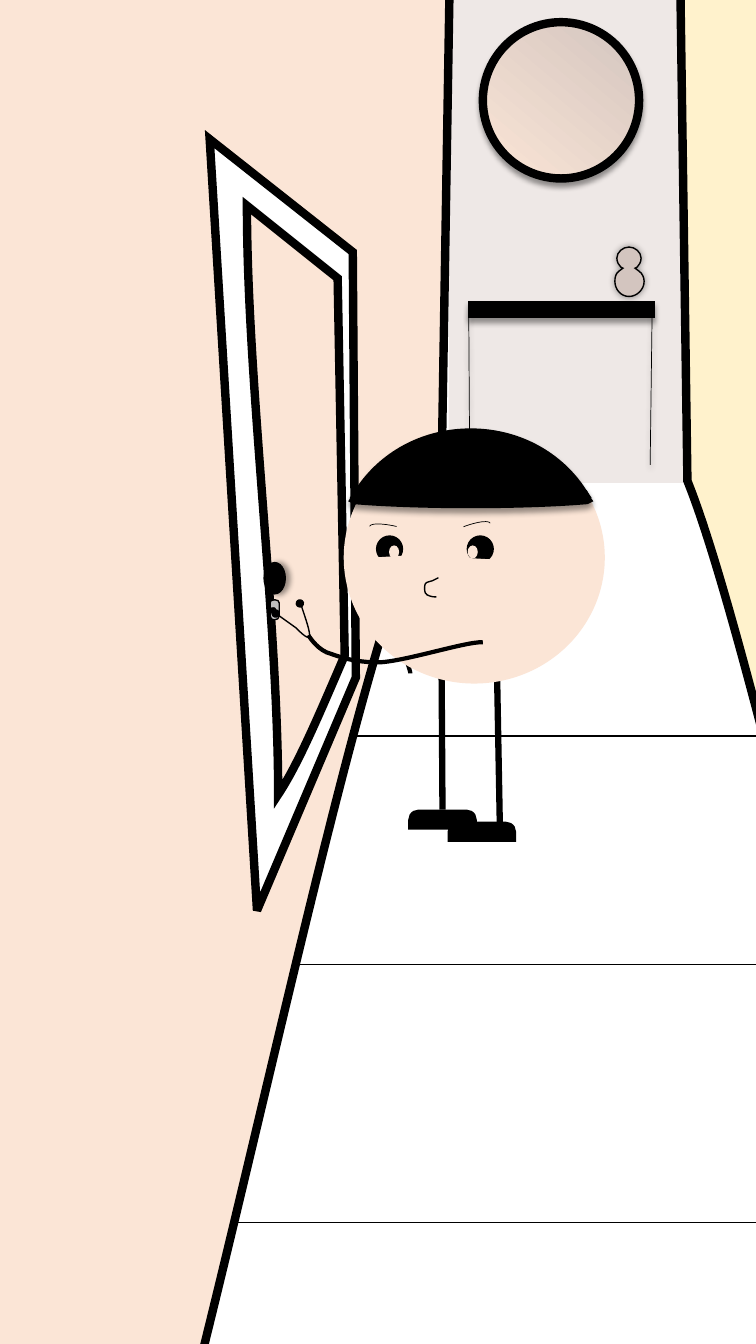
import pptx
import pptx.util
import pptx.dml.color
import pptx.enum.shapes
import pptx.oxml.ns
from lxml import etree

Inches = pptx.util.Inches
KIND = pptx.enum.shapes.MSO_SHAPE
BLACK, WHITE, SKIN, CLAY = "000000", "FFFFFF", "FBE5D6", "D3C5BF"
DROP = (4, 3, 90)


def hue(code):
    return pptx.dml.color.RGBColor.from_string(code)


class Scene:
    """Draws outlined shapes in groups on one slide."""

    def __init__(self, slide):
        self.slide = slide
        self.shapes = slide.shapes

    def group(self):
        self.shapes = self.slide.shapes.add_group_shape().shapes

    def tag(self, parent, name, **values):
        return etree.SubElement(parent, pptx.oxml.ns.qn("a:" + name), **values)

    def finish(self, shape, line, width, shade):
        if line:
            shape.line.color.rgb = hue(line)
            shape.line.width = pptx.util.Pt(width)
            self.tag(shape.line._get_or_add_ln(), "miter", lim="800000")
        else:
            shape.line.fill.background()
        effect = self.tag(shape.element.spPr, "effectLst")
        if shade:
            blur, dist, turn = shade
            drop = self.tag(effect, "outerShdw", blurRad=str(pptx.util.Pt(blur)),
                            dist=str(pptx.util.Pt(dist)), dir=str(turn * 60000),
                            rotWithShape="0")
            tint = self.tag(drop, "srgbClr", val=BLACK)
            self.tag(tint, "alpha", val="40000")
        return shape

    def paint(self, shape, fill):
        if fill is None:
            shape.fill.background()
        elif isinstance(fill, str):
            shape.fill.solid()
            shape.fill.fore_color.rgb = hue(fill)
        else:
            shape.fill.gradient()
            shape.fill.gradient_angle = 230
            for stop, code in zip(shape.fill.gradient_stops, fill):
                stop.color.rgb = hue(code)

    def block(self, box, fill=None, line=None, width=1, shade=None,
              kind=KIND.RECTANGLE, turn=0, adjust=()):
        shape = self.shapes.add_shape(kind, *map(Inches, box))
        shape.rotation = turn
        for i, value in enumerate(adjust):
            shape.adjustments[i] = value
        self.paint(shape, fill)
        return self.finish(shape, line, width, shade)

    def oval(self, box, *style, **more):
        return self.block(box, *style, kind=KIND.OVAL, **more)

    def rule(self, start, end, width, shade=None):
        ends = map(Inches, start + end)
        link = self.shapes.add_connector(pptx.enum.shapes.MSO_CONNECTOR.STRAIGHT, *ends)
        return self.finish(link, BLACK, width, shade)

    def form(self, trace, fill=None, line=None, width=1, shade=None):
        form, bends, count = None, [], 0
        for loop in trace.split("M")[1:]:
            steps = loop.replace("Z", "").replace("L", "|L").replace("C", "|C").split("|")
            spots = []
            for step in steps:
                nums = [Inches(float(n)) for n in step.strip(" LC").split()]
                if step.startswith("C"):
                    bends.append(count + len(spots) - 1)
                spots.extend(zip(nums[::2], nums[1::2]))
            if form is None:
                form = self.shapes.build_freeform(*spots[0], scale=1.0)
            else:
                form.move_to(*spots[0])
            form.add_line_segments(spots[1:], close="Z" in loop)
            count += len(spots) - 1
        shape = form.convert_to_shape()
        self.bend(shape, bends)
        self.paint(shape, fill)
        return self.finish(shape, line, width, shade)

    def bend(self, shape, bends):
        lines = list(shape.element.spPr.iter(pptx.oxml.ns.qn("a:lnTo")))
        for first in bends:
            trio = lines[first:first + 3]
            curve = etree.Element(pptx.oxml.ns.qn("a:cubicBezTo"))
            trio[0].addprevious(curve)
            for line in trio:
                curve.append(line[0])
                line.getparent().remove(line)


def draw_hall(scene):
    scene.group()
    for left, top, width in ((1.99, 4.74, 6.79), (1.45, 7.3, 7.51),
                             (1.07, 9.57, 8.65), (0.31, 12.13, 9.75)):
        scene.block((left, top, width, 2.57), WHITE, BLACK, 0.75)
    scene.form("M 4.46 0 L 6.8 0 L 6.8 4.79 L 4.45 4.79 L 4.46 0 Z", "EEE8E6")
    scene.form("M 10.38 -1.41 L 6.75 -0.1 L 6.82 4.77 C 7.64 6.8 9.46 15.83 10.4 17.2 "
               "C 10.97 17.7 13.27 11.38 13.97 9.71 C 14.67 8.04 13.81 2.16 13.84 0.53 "
               "C 13.96 -1.28 10.96 -1.11 10.38 -1.41 Z", "FFF2CC", BLACK, 6)
    scene.form("M 0.83 -1.41 L 4.46 -0.1 L 4.38 4.77 C 3.44 6.14 1.75 15.83 0.81 17.2 "
               "C 0.24 17.7 -2.06 11.38 -2.76 9.71 C -3.47 8.04 -2.61 2.16 -2.63 0.53 "
               "C -2.76 -1.28 0.25 -1.11 0.83 -1.41 Z", SKIN, BLACK, 6)


def draw_key(scene):
    scene.oval((3.14, 5.69, 0.2, 0.2), None, BLACK, 3, turn=8.4)
    scene.oval((2.85, 5.79, 0.28, 0.03), BLACK, BLACK, turn=356.3)
    for left, top in ((2.89, 5.81), (2.94, 5.8)):
        scene.block((left, top, 0.03, 0.05), BLACK, BLACK,
                    kind=KIND.ROUNDED_RECTANGLE, turn=8.4)


def draw_door(scene):
    scene.form("M 2.08 1.38 L 3.5 2.5 L 3.53 6.72 L 2.55 9.03 L 2.08 1.38 Z", WHITE, BLACK, 6)
    scene.form("M 2.45 2.04 L 3.35 2.76 L 3.42 6.5 C 3.17 7.08 2.96 7.58 2.76 7.88 "
               "C 2.76 6.14 2.45 3.79 2.45 2.04 Z", SKIN, BLACK, 6)
    scene.oval((2.62, 5.58, 0.21, 0.31), BLACK, BLACK, shade=(4, 3, 0))
    scene.form("M 2.71 6.03 C 2.7 6.03 2.69 6.03 2.69 6.04 L 2.69 6.07 "
               "C 2.69 6.08 2.7 6.08 2.71 6.08 L 2.71 6.08 C 2.72 6.08 2.73 6.08 2.73 6.07 "
               "L 2.73 6.04 C 2.73 6.03 2.72 6.03 2.71 6.03 Z "
               "M 2.72 5.95 L 2.73 5.95 C 2.75 5.95 2.77 5.96 2.77 5.98 L 2.77 6.11 "
               "C 2.77 6.13 2.75 6.15 2.72 6.15 C 2.7 6.15 2.68 6.13 2.68 6.11 "
               "L 2.68 5.98 C 2.68 5.96 2.69 5.95 2.72 5.95 Z", "BFBFBF", BLACK)


def draw_table(scene):
    scene.block((4.65, 2.99, 1.84, 0.16), BLACK, BLACK, shade=DROP)
    scene.rule((4.65, 3.07), (4.66, 4.63), 0.5, DROP)
    scene.rule((6.47, 3.07), (6.45, 4.61), 0.5, DROP)
    scene.oval((4.79, 0.22, 1.55, 1.55), (CLAY, SKIN), BLACK, 6, DROP)
    scene.form("M 6.24 2.45 C 6.3 2.45 6.36 2.5 6.36 2.56 C 6.36 2.6 6.34 2.63 6.32 2.65 "
               "L 6.3 2.66 L 6.34 2.69 C 6.37 2.71 6.39 2.75 6.39 2.79 "
               "C 6.39 2.87 6.32 2.94 6.24 2.94 C 6.16 2.94 6.1 2.87 6.1 2.79 "
               "C 6.1 2.75 6.11 2.71 6.14 2.69 L 6.18 2.66 L 6.16 2.65 "
               "C 6.14 2.63 6.12 2.6 6.12 2.56 C 6.12 2.5 6.18 2.45 6.24 2.45 Z",
               CLAY, BLACK, 1, (5, 0, 0))


def draw_child(scene):
    scene.group()
    scene.form("M 4.11 5.59 C 3.96 5.68 3.81 5.76 3.8 5.92 "
               "C 3.79 6.09 3.99 6.44 4.04 6.57 C 4.08 6.69 4.07 6.68 4.07 6.68",
               None, BLACK, 3)
    scene.rule((4.38, 6.5), (4.39, 8.03), 4.5)
    scene.rule((4.93, 6.62), (4.96, 8.25), 4.5)
    scene.oval((3.41, 4.28, 2.59, 2.5), SKIN)
    for left, top in ((4.44, 8.15), (4.05, 8.03)):
        scene.block((left, top, 0.68, 0.2), BLACK,
                    kind=KIND.ROUND_2_SAME_RECTANGLE, adjust=(0.5, 0))
    scene.form("M 4.35 5.73 C 4.34 5.73 4.34 5.74 4.33 5.74 C 4.32 5.75 4.31 5.75 4.29 5.76 "
               "C 4.27 5.77 4.23 5.77 4.22 5.79 C 4.21 5.81 4.21 5.86 4.22 5.88 "
               "C 4.23 5.9 4.24 5.9 4.26 5.91 C 4.28 5.92 4.31 5.92 4.33 5.92", None, BLACK)
    for eye, glint in ((3.73, 3.86), (4.63, 4.64)):
        scene.oval((eye, 5.31, 0.27, 0.27), BLACK)
        scene.oval((glint, 5.41, 0.1, 0.13), SKIN)
    draw_hair(scene)
    for left, turn, sweep in ((3.66, 13.3, (108, 162)), (4.36, 339.4, (162, 0))):
        scene.block((left, 5.22, 0.52, 0.12), None, BLACK, 0.5,
                    kind=KIND.ARC, turn=turn, adjust=sweep)
    scene.form("M 4.73 5.68 C 4.67 5.68 4.63 5.64 4.59 5.59 L 4.57 5.53 L 4.9 5.55 "
               "L 4.87 5.6 C 4.83 5.65 4.78 5.68 4.73 5.68 Z", SKIN)
    scene.form("M 3.88 5.66 C 3.93 5.66 3.98 5.63 4.01 5.58 L 4.03 5.51 L 3.71 5.53 "
               "L 3.74 5.59 C 3.77 5.64 3.82 5.67 3.88 5.66 Z", SKIN)
    scene.form("M 4.79 6.37 C 4.62 6.36 3.96 6.58 3.72 6.57 C 3.47 6.56 3.36 6.51 3.24 6.47 "
               "C 3.13 6.42 3.06 6.3 3.06 6.3", None, BLACK, 3)


def draw_hair(scene):
    scene.form("M 4.67 4.85 C 4.22 4.85 3.82 4.86 3.58 4.88 L 3.54 4.89 L 3.52 4.93 L 3.5 4.96 "
               "L 3.52 4.97 C 3.74 4.99 4.17 5.01 4.67 5.01 C 5.17 5.01 5.6 4.99 5.82 4.97 "
               "L 5.84 4.96 L 5.82 4.93 L 5.8 4.89 L 5.76 4.88 "
               "C 5.52 4.86 5.12 4.85 4.67 4.85 Z", BLACK, BLACK, 4.5, DROP)
    scene.form("M 4.67 4.28 C 4.22 4.28 3.82 4.49 3.58 4.83 L 3.54 4.89 L 3.58 4.88 "
               "C 3.82 4.86 4.22 4.85 4.67 4.85 C 5.12 4.85 5.52 4.86 5.76 4.88 "
               "L 5.8 4.89 L 5.76 4.83 C 5.52 4.49 5.12 4.28 4.67 4.28 Z",
               BLACK, BLACK, 4.5, DROP)
    scene.form("M 4.75 4.86 L 4.78 4.91 L 4.79 4.94 L 4.83 4.93 C 4.9 4.93 4.93 4.92 4.93 4.9 "
               "C 4.93 4.89 4.87 4.88 4.78 4.87 L 4.75 4.86 Z", BLACK)
    scene.form("M 5.19 4.8 L 5.16 4.81 C 5.06 4.82 5 4.83 5 4.84 C 5 4.85 5.04 4.86 5.11 4.87 "
               "L 5.14 4.88 L 5.16 4.85 L 5.19 4.8 Z", BLACK)


def draw_hand(scene):
    scene.group()
    scene.form("M 2.98 5.98 C 3.03 6.13 3.08 6.27 3.07 6.31 C 3.06 6.36 2.94 6.23 2.94 6.23 "
               "L 2.73 6.08", None, BLACK)
    for left, top in ((2.7, 6.05), (2.94, 5.95)):
        scene.oval((left, top, 0.07, 0.07), BLACK, BLACK, turn=46.6)


def main():
    deck = pptx.Presentation()
    deck.slide_width, deck.slide_height = Inches(7.5), Inches(13.33)
    scene = Scene(deck.slides.add_slide(deck.slide_layouts[6]))
    for draw in (draw_hall, draw_key, draw_door, draw_table, draw_child, draw_hand):
        draw(scene)
    deck.save("out.pptx")


if __name__ == "__main__":
    main()
